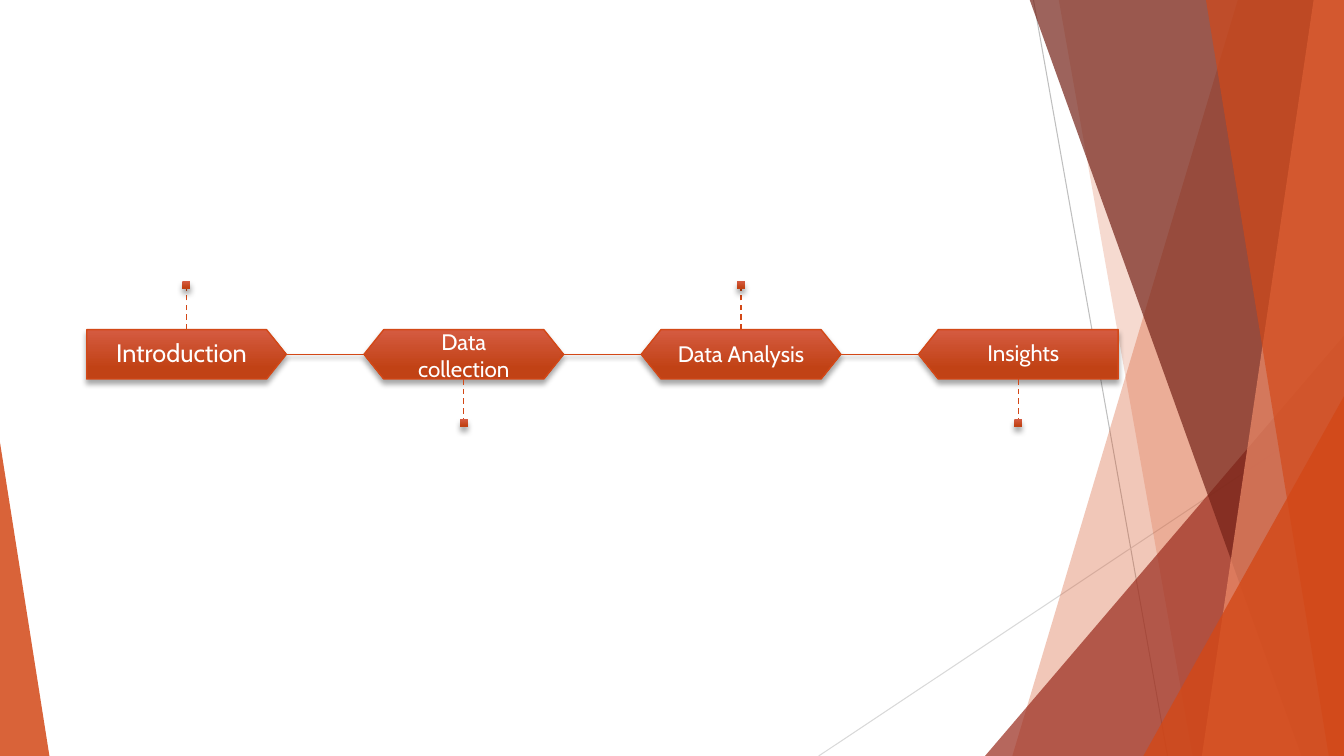
from dataclasses import dataclass
from typing import Optional, Union

import pptx
import pptx.dml.color
import pptx.enum.dml
import pptx.enum.shapes
import pptx.enum.text
import pptx.oxml
import pptx.oxml.ns
import pptx.util

PX = 9144  # EMU per px, 100 px to the inch
WIDTH, HEIGHT = 1333, 750
FONT = "Cabin"
COLORS = {
    "orange": "D34817", "red": "9B2D1F", "maroon": "742217", "salmon": "EF8C6A",
    "grad_top": "D55B41", "grad_bottom": "C14215", "white": "FFFFFF",
    "grey": "BFBFBF", "light_grey": "D9D9D9", "black": "000000",
}
PRESET = pptx.enum.shapes.MSO_SHAPE

# Timeline geometry
FIRST_LEFT, PITCH = 86, 275
STEP_TOP, STEP_W, STEP_H = 327, 198, 49
MARKER, STEM = 8, 40


@dataclass(frozen=True)
class Facet:
    points: tuple[tuple[int, int], ...]
    color: str
    alpha: int


@dataclass(frozen=True)
class Corner:
    left: int
    top: int
    width: int
    height: int
    apex: int
    color: str
    alpha: int


@dataclass(frozen=True)
class Step:
    label: str
    preset: int
    label_box: tuple[int, int, int, int]  # offset from the step, then size
    marker_above: bool
    size: int = 16
    inset: int = 13
    rotation: int = 0
    spacing: Optional[float] = 0.9


def right_facet(top_x: int, bottom_x: int, color: str, alpha: int) -> Facet:
    return Facet(((top_x, -1), (WIDTH, -1), (WIDTH, HEIGHT), (bottom_x, HEIGHT)), color, alpha)


BACKDROP: list[Union[Facet, Corner]] = [
    right_facet(1228, 1004, "orange", 30),
    right_facet(1050, 1183, "orange", 20),
    Corner(977, 333, 356, 417, 1, "red", 72),
    right_facet(1021, 1291, "maroon", 70),
    right_facet(1303, 1192, "salmon", 70),
    right_facet(1196, 1318, "orange", 65),
    Corner(1134, 393, 199, 357, 1, "orange", 80),
    Corner(0, 439, 49, 311, 0, "orange", 85),
]
END_BOX = (188, 49)
MIDDLE_BOX = (23, 6, 152, 38)
STEPS = [
    Step("Introduction", PRESET.PENTAGON, (0, 0, *END_BOX), True, size=18, inset=15),
    Step("Data collection", PRESET.HEXAGON, MIDDLE_BOX, False, spacing=None),
    Step("Data Analysis", PRESET.HEXAGON, MIDDLE_BOX, True),
    Step("Insights", PRESET.PENTAGON, (10, 0, *END_BOX), False, rotation=180),
]


def px(*values: int) -> list[pptx.util.Emu]:
    return [pptx.util.Emu(value * PX) for value in values]


def rgb(name: str) -> pptx.dml.color.RGBColor:
    return pptx.dml.color.RGBColor.from_string(COLORS[name])


def set_effects(shape, blur: float = 0, distance: float = 0) -> None:
    """Give a downward shadow, or none when blur is 0."""
    shadow = ""
    if blur:
        shadow = (
            f'<a:outerShdw blurRad="{pptx.util.Pt(blur)}" dist="{pptx.util.Pt(distance)}"'
            f' dir="5400000" rotWithShape="0"><a:srgbClr val="{COLORS["black"]}">'
            '<a:alpha val="35000"/></a:srgbClr></a:outerShdw>')
    shape._element.spPr.append(pptx.oxml.parse_xml(
        f'<a:effectLst {pptx.oxml.ns.nsdecls("a")}>{shadow}</a:effectLst>'))


def fill_translucent(shape, color: str, alpha: int) -> None:
    shape.shadow.inherit = False
    shape.line.fill.background()
    shape.fill.solid()
    shape.fill.fore_color.rgb = rgb(color)
    tint = shape._element.spPr.find(".//" + pptx.oxml.ns.qn("a:srgbClr"))
    tint.append(pptx.oxml.parse_xml(
        f'<a:alpha {pptx.oxml.ns.nsdecls("a")} val="{alpha * 1000}"/>'))


def fill_gradient(shape) -> None:
    shape.fill.gradient()
    shape.fill.gradient_angle = 270
    stops = zip(shape.fill.gradient_stops, (0, 0.78), ("grad_top", "grad_bottom"))
    for stop, position, color in stops:
        stop.position = position
        stop.color.rgb = rgb(color)
    shape._element.spPr.find(pptx.oxml.ns.qn("a:gradFill")).set("rotWithShape", "0")


def add_line(slide, start: tuple[int, int], end: tuple[int, int], color: str,
             weight: float = 1):
    line = slide.shapes.add_connector(
        pptx.enum.shapes.MSO_CONNECTOR.STRAIGHT, *px(*start, *end))
    line.line.color.rgb = rgb(color)
    line.line.width = pptx.util.Pt(weight)
    return line


def add_backdrop(slide) -> None:
    for start, end, color in (((1025, 0), (1158, HEIGHT), "grey"),
                              ((WIDTH, 403), (812, HEIGHT), "light_grey")):
        set_effects(add_line(slide, start, end, color, 0.75))
    for part in BACKDROP:
        if isinstance(part, Facet):
            outline = slide.shapes.build_freeform(*part.points[0], scale=PX)
            outline.add_line_segments(part.points[1:], close=True)
            shape = outline.convert_to_shape()
        else:
            shape = slide.shapes.add_shape(
                PRESET.ISOSCELES_TRIANGLE, *px(part.left, part.top, part.width, part.height))
            shape.adjustments[0] = part.apex
        fill_translucent(shape, part.color, part.alpha)


def add_label(slide, step: Step, left: int) -> None:
    dx, dy, width, height = step.label_box
    label = slide.shapes.add_textbox(*px(left + dx, STEP_TOP + dy, width, height))
    frame = label.text_frame
    frame.word_wrap = True
    frame.vertical_anchor = pptx.enum.text.MSO_ANCHOR.MIDDLE
    frame.margin_left, frame.margin_top, frame.margin_right, frame.margin_bottom = px(
        *[step.inset] * 4)
    frame.text = step.label
    paragraph = frame.paragraphs[0]
    paragraph.alignment = pptx.enum.text.PP_ALIGN.CENTER
    paragraph.line_spacing = step.spacing
    font = paragraph.runs[0].font
    font.name, font.size = FONT, pptx.util.Pt(step.size)
    font.color.rgb = rgb("white")


def add_marker(slide, step: Step, left: int) -> None:
    center = left + STEP_W // 2
    if step.marker_above:
        edge, stem_end = STEP_TOP, STEP_TOP - STEM
        top, side = stem_end - MARKER, 2
    else:
        edge, stem_end = STEP_TOP + STEP_H, STEP_TOP + STEP_H + STEM
        top, side = stem_end, 0
    stem = add_line(slide, (center, edge), (center, stem_end), "orange")
    stem.line.dash_style = pptx.enum.dml.MSO_LINE.DASH
    set_effects(stem)
    marker = slide.shapes.add_shape(
        PRESET.RECTANGLE, *px(center - MARKER // 2, top, MARKER, MARKER))
    fill_gradient(marker)
    marker.line.fill.background()
    set_effects(marker, 4, 3)
    stem.end_connect(marker, side)


def add_step(slide, step: Step, left: int) -> None:
    body = slide.shapes.add_shape(step.preset, *px(left, STEP_TOP, STEP_W, STEP_H))
    body.adjustments[0] = 0.4
    body.rotation = step.rotation
    fill_gradient(body)
    body.line.color.rgb = rgb("orange")
    body.line.width = pptx.util.Pt(1)
    set_effects(body, 4, 3)
    add_label(slide, step, left)


def main() -> None:
    deck = pptx.Presentation()
    deck.slide_width, deck.slide_height = px(WIDTH, HEIGHT)
    slide = deck.slides.add_slide(deck.slide_layouts[6])
    add_backdrop(slide)

    # Timeline
    middle = STEP_TOP + STEP_H // 2 + 1
    for index, step in enumerate(STEPS):
        left = FIRST_LEFT + index * PITCH
        add_step(slide, step, left)
        if index < len(STEPS) - 1:
            link = add_line(slide, (left + STEP_W, middle), (left + PITCH, middle), "orange")
            set_effects(link, 3, 2)
        add_marker(slide, step, left)
    deck.save("out.pptx")


if __name__ == "__main__":
    main()
